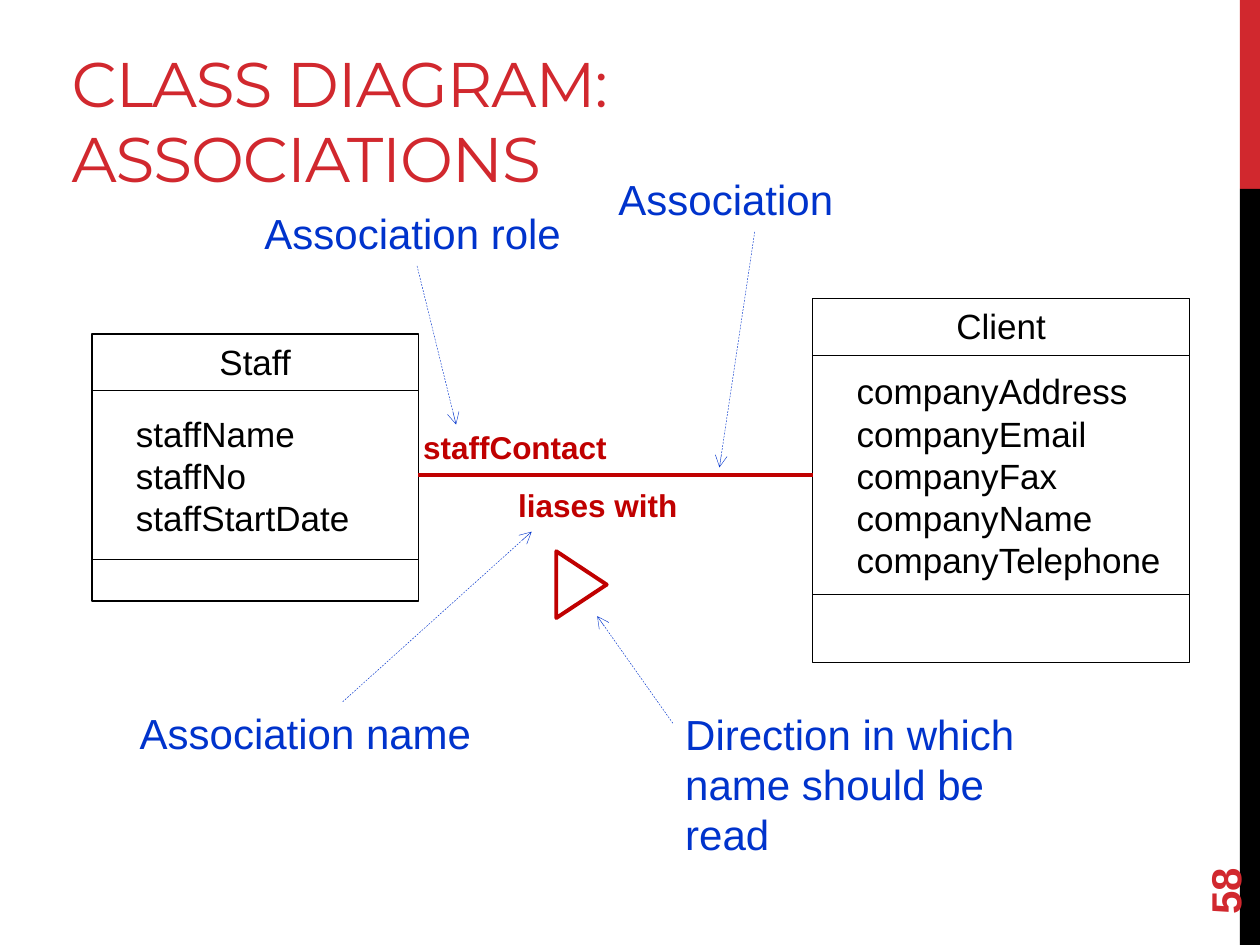
"""Build the class diagram slide that explains the parts of an association."""
from lxml import etree
from pptx import Presentation
from pptx.dml.color import RGBColor
from pptx.enum.dml import MSO_LINE
from pptx.enum.shapes import MSO_CONNECTOR, MSO_SHAPE
from pptx.enum.text import MSO_ANCHOR, PP_ALIGN
from pptx.oxml.ns import qn
from pptx.util import Inches, Pt

RECTANGLE, TRIANGLE = MSO_SHAPE.RECTANGLE, MSO_SHAPE.ISOSCELES_TRIANGLE
STRAIGHT, DASH = MSO_CONNECTOR.STRAIGHT, MSO_LINE.DASH
TOP, MIDDLE, BOTTOM = MSO_ANCHOR.TOP, MSO_ANCHOR.MIDDLE, MSO_ANCHOR.BOTTOM
LEFT, CENTER = PP_ALIGN.LEFT, PP_ALIGN.CENTER
COLORS = {"accent": "D1282E", "black": "000000", "white": "FFFFFF",
          "link": "C00000", "note": "0033CC"}
RGB = {name: RGBColor.from_string(value) for name, value in COLORS.items()}


def write(shape, lines, color, size, anchor=TOP, align=LEFT, indent=0, font="Arial", bold=False):
    """Put one paragraph per line into the shape."""
    frame = shape.text_frame
    frame.word_wrap = True
    frame.vertical_anchor = anchor
    frame.text = "\n".join(lines)
    for paragraph in frame.paragraphs:
        paragraph.alignment = align
        if indent:
            paragraph._p.get_or_add_pPr().set("marL", str(Inches(indent)))
        run_font = paragraph.runs[0].font
        for name, value in {"name": font, "size": Pt(size), "bold": bold}.items():
            setattr(run_font, name, value)
        run_font.color.rgb = RGB[color]
    return frame


def draw(shapes, kind, place, fill, line=None, weight=0.75):
    """Add a preset shape with a plain fill and an optional outline."""
    shape = shapes.add_shape(kind, *map(Inches, place))
    shape.shadow.inherit = False
    shape.fill.solid()
    shape.fill.fore_color.rgb = RGB[fill]
    if line:
        shape.line.color.rgb = RGB[line]
        shape.line.width = Pt(weight)
    else:
        shape.line.fill.background()
    return shape


prs = Presentation()
prs.slide_width, prs.slide_height = Inches(10), Inches(7.5)
shapes = prs.slides.add_slide(prs.slide_layouts[6]).shapes

for top, height, color in [(0, 1.5, "accent"), (1.5, 6, "black")]:
    draw(shapes, RECTANGLE, (9.84, top, 0.16, height), color)

title = shapes.add_textbox(*map(Inches, (0.47, 0.07, 6.33, 1.5)))
title_frame = write(title, ["CLASS DIAGRAM: ASSOCIATIONS"], "accent", 36, BOTTOM, font="Montserrat")
title_frame.margin_bottom = Inches(0.02)
title_frame.paragraphs[0].runs[0].font._element.set("spc", "-60")

page_number = shapes.add_textbox(*map(Inches, (9, 6.44, 1.44, 0.4)))
page_number.rotation = 270
write(page_number, ["58"], "accent", 24, MIDDLE, bold=True)

classes = [
    ("Staff", 0.73, 2.65, 2.59, 2.12, 1.34, ["staffName", "staffNo", "staffStartDate"]),
    ("Client", 6.45, 2.37, 2.99, 2.89, 1.9,
     ["companyAddress", "companyEmail", "companyFax", "companyName", "companyTelephone"]),
]
attribute_boxes = {}
for name, left, top, width, height, attributes_height, attributes in classes:
    members = shapes.add_group_shape().shapes
    class_box = draw(members, RECTANGLE, (left, top, width, height), "white", "black")
    write(class_box, [name], "black", 20, align=CENTER)
    attribute_box = draw(members, RECTANGLE, (left, top + 0.45, width, attributes_height),
                         "white", "black")
    write(attribute_box, attributes, "black", 20, MIDDLE, indent=0.25)
    attribute_boxes[name] = attribute_box

association = shapes.add_connector(STRAIGHT, 0, 0, 0, 0)
association.begin_connect(attribute_boxes["Client"], 1)
association.end_connect(attribute_boxes["Staff"], 3)
association.line.color.rgb = RGB["link"]
association.line.width = Pt(2.25)
etree.SubElement(association._element.spPr, qn("a:effectLst"))

direction = draw(shapes, TRIANGLE, (4.35, 4.44, 0.53, 0.4), "white", "link", 2.25)
direction.rotation = 90

labels = [
    ("Association", (4.81, 1.33, 2.35, 0.5), "note", 24, LEFT),
    ("Association role", (2, 1.6, 2.61, 0.5), "note", 24, LEFT),
    ("staffContact", (3.26, 3.35, 1.93, 0.4), "link", 18, LEFT),
    ("liases with", (3.78, 3.81, 1.93, 0.4), "link", 18, CENTER),
    ("Association name", (1.01, 5.57, 3.41, 0.5), "note", 24, LEFT),
    ("Direction in which name should be read", (5.34, 5.57, 2.93, 1.31), "note", 24, LEFT),
]
for text, place, color, size, align in labels:
    label = shapes.add_textbox(*map(Inches, place))
    write(label, [text], color, size, align=align, bold=color == "link")

pointers = [(5.99, 1.84, 5.71, 3.71), (3.31, 2.11, 3.62, 3.37),
            (2.72, 5.57, 4.22, 4.22), (5.34, 5.74, 4.74, 4.89)]
for ends in pointers:
    pointer = shapes.add_connector(STRAIGHT, *map(Inches, ends))
    pointer.line.color.rgb = RGB["note"]
    pointer.line.width = Pt(0.25)
    pointer.line.dash_style = DASH
    etree.SubElement(pointer.line._get_or_add_ln(), qn("a:tailEnd"), type="arrow")
    etree.SubElement(pointer._element.spPr, qn("a:effectLst"))

prs.save("out.pptx")
